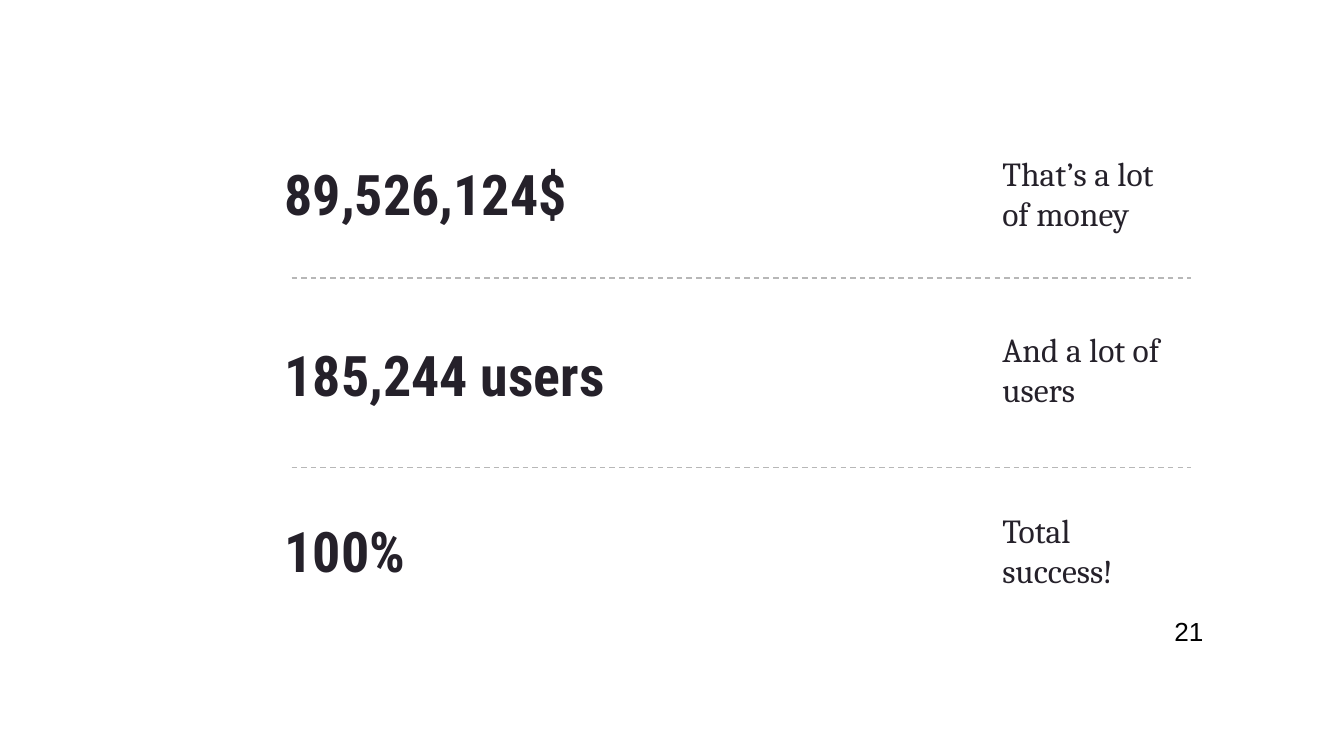
import pptx
import pptx.dml.color
import pptx.enum.dml
import pptx.enum.shapes
import pptx.enum.text
import pptx.oxml.ns
import pptx.util
from lxml import etree
from pptx.util import Inches

INK = "25212A"
RULE = "B7B7B7"
BLACK = "000000"

# Figure, its caption, top of the figure, top of the caption
STATISTICS = [
    ("89,526,124$", "That’s a lot of money", 0.97, 1.18),
    ("185,244 users", "And a lot of users", 2.32, 2.49),
    ("100%", "Total success!", 3.63, 3.84),
]
DIVIDER_TOPS = [2.07, 3.48]


def color(hex_string):
    return pptx.dml.color.RGBColor.from_string(hex_string)


class SlideBuilder:
    """Holds the text style and the slide being built."""

    inset = Inches(0.1)

    def __init__(self, slide):
        self.slide = slide

    def text(self, content, left, top, width, height, font, size, ink=INK, bold=False):
        box = self.slide.shapes.add_textbox(
            Inches(left), Inches(top), Inches(width), Inches(height))
        frame = box.text_frame
        frame.word_wrap = True
        frame.vertical_anchor = pptx.enum.text.MSO_ANCHOR.MIDDLE
        frame.margin_left = frame.margin_right = self.inset
        frame.margin_top = frame.margin_bottom = self.inset
        paragraph = frame.paragraphs[0]
        paragraph.text = content
        paragraph.font.name = font
        paragraph.font.size = pptx.util.Pt(size)
        paragraph.font.bold = bold
        paragraph.font.color.rgb = color(ink)

    def figure(self, content, top):
        self.text(content, 2.02, top, 6.56, 0.93, "Roboto Condensed", 30, bold=True)

    def caption(self, content, top):
        self.text(content, 7.36, top, 1.46, 0.51, "Cambria", 18)

    def page_number(self, number):
        self.text(str(number), 8.64, 4.48, 0.6, 0.43, "Arial", 14, BLACK)

    def divider(self, top):
        connector = self.slide.shapes.add_connector(
            pptx.enum.shapes.MSO_CONNECTOR.STRAIGHT,
            Inches(2.17), Inches(top), Inches(8.86), Inches(top))
        connector.line.color.rgb = color(RULE)
        connector.line.width = pptx.util.Pt(0.75)
        connector.line.dash_style = pptx.enum.dml.MSO_LINE.DASH
        properties = connector._element.spPr
        etree.SubElement(properties, pptx.oxml.ns.qn("a:effectLst"))


def main():
    presentation = pptx.Presentation()
    presentation.slide_width = Inches(10)
    presentation.slide_height = presentation.slide_width * 9 // 16
    slide = presentation.slides.add_slide(presentation.slide_layouts[6])

    builder = SlideBuilder(slide)
    for figure, caption, figure_top, caption_top in STATISTICS:
        builder.figure(figure, figure_top)
        builder.caption(caption, caption_top)
    builder.page_number(21)
    for top in DIVIDER_TOPS:
        builder.divider(top)

    presentation.save("out.pptx")


if __name__ == "__main__":
    main()
